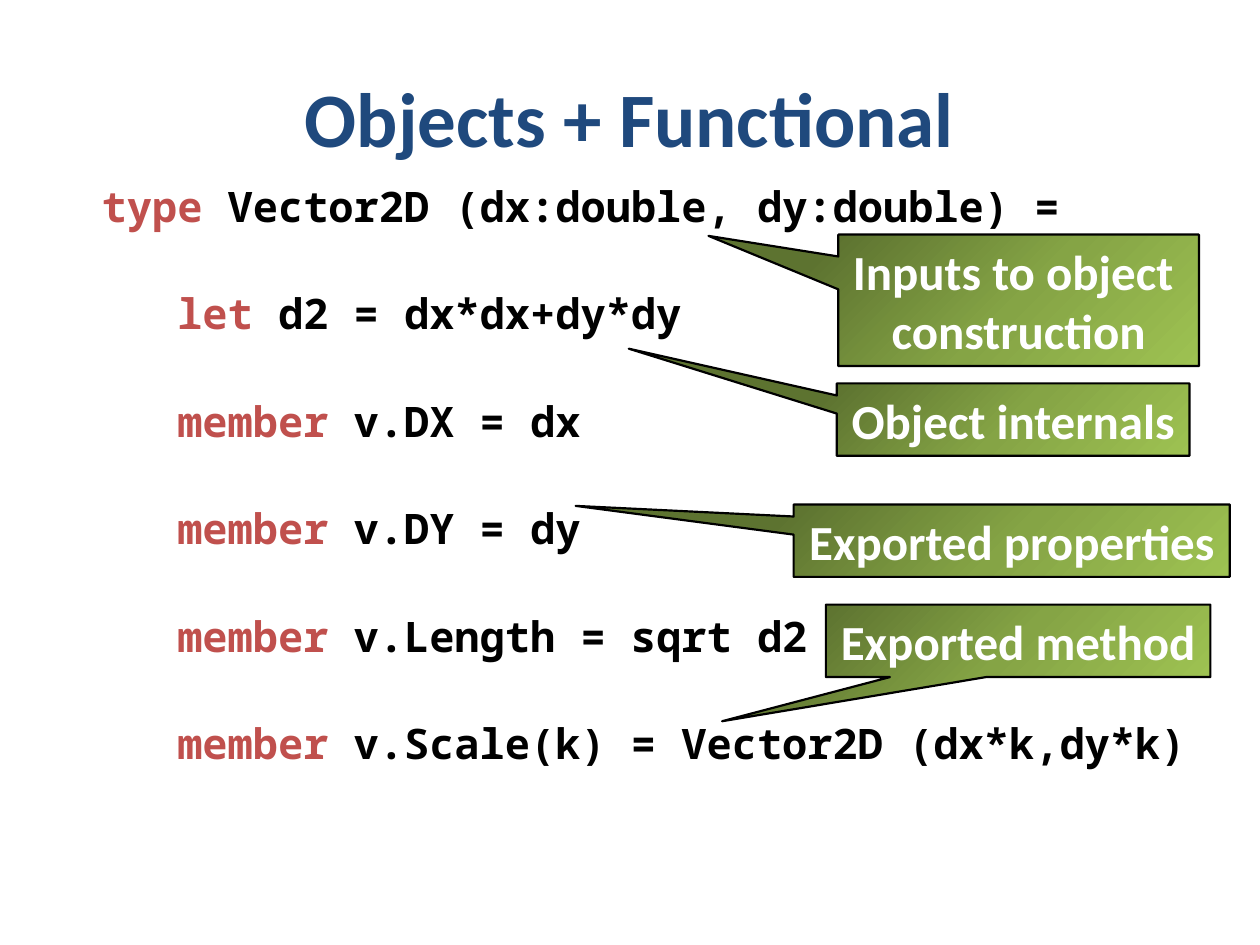
from copy import deepcopy

from pptx import Presentation
from pptx.dml.color import RGBColor
from pptx.enum.shapes import MSO_SHAPE
from pptx.enum.text import MSO_ANCHOR, MSO_AUTO_SIZE, PP_ALIGN
from pptx.oxml.ns import qn
from pptx.util import Cm, Pt

CALLOUT = MSO_SHAPE.RECTANGULAR_CALLOUT
CENTER = PP_ALIGN.CENTER
MIDDLE = MSO_ANCHOR.MIDDLE
GROW = MSO_AUTO_SIZE.SHAPE_TO_FIT_TEXT
TITLE_ONLY = 5

HEAD_FONT, CODE_FONT = "Calibri", "Noto Sans Mono"
NAVY, KEYWORD, BLACK, WHITE = "1F497D", "C0504D", "000000", "FFFFFF"
GREENS = [(0, "5D7330"), (0.5, "85A445"), (1, "9EC252")]

# Each code line: indent, keyword, rest
CODE = [
    ("", "type", " Vector2D (dx:double, dy:double) ="),
    ("   ", "let", " d2 = dx*dx+dy*dy"),
    ("   ", "member", " v.DX = dx"),
    ("   ", "member", " v.DY = dy"),
    ("   ", "member", " v.Length = sqrt d2"),
    ("   ", "member", " v.Scale(k) = Vector2D (dx*k,dy*k)"),
]

# Each callout: text, box (left, top, width, height) in cm, pointer tip
CALLOUTS = [
    ("Inputs to object \nconstruction", (16.9, 4.73, 7.27, 2.65), (-0.86, -0.49)),
    ("Exported properties", (16, 10.17, 8.79, 1.46), (-1, -0.48)),
    ("Exported method", (16.65, 12.19, 7.75, 1.46), (-0.77, 1.11)),
    ("Object internals", (16.87, 7.73, 7.11, 1.46), (-1.09, -0.98)),
]


def rgb(color):
    return RGBColor.from_string(color)


def style(r, font, size, color):
    r.font.name = font
    r.font.size = Pt(size)
    r.font.bold = True
    r.font.color.rgb = rgb(color)


def set_title(slide, text):
    s = slide.shapes.title
    s.left, s.top, s.width, s.height = Cm(1.27), Cm(0.76), Cm(22.86), Cm(3.18)
    tf = s.text_frame
    tf.text = text
    tf.vertical_anchor = MIDDLE
    p = tf.paragraphs[0]
    p.alignment = CENTER
    style(p.runs[0], HEAD_FONT, 44, NAVY)


def add_code(slide, lines):
    s = slide.shapes.add_textbox(Cm(1.8), Cm(3.63), Cm(22.45), Cm(12.5))
    tf = s.text_frame
    tf.word_wrap = True
    for i, (indent, keyword, rest) in enumerate(lines):
        p = tf.add_paragraph() if i else tf.paragraphs[0]
        p.line_spacing = 0.9
        p.space_before = Pt(35.5 if i else 0)
        for text, color in ((indent + keyword, KEYWORD), (rest, BLACK)):
            r = p.add_run()
            r.text = text
            style(r, CODE_FONT, 24, color)


def fill_gradient(s, stops):
    s.fill.gradient()
    s.fill.gradient_angle = 315
    # A new gradient has two stops; add one for the middle colour
    stop_list = s._element.spPr.find(qn("a:gradFill")).find(qn("a:gsLst"))
    stop_list.append(deepcopy(stop_list[-1]))
    for stop, (position, color) in zip(s.fill.gradient_stops, stops):
        stop.position = position
        stop.color.rgb = rgb(color)


def add_callout(slide, text, box, tip):
    s = slide.shapes.add_shape(CALLOUT, *(Cm(v) for v in box))
    s.shadow.inherit = False
    s.adjustments[0], s.adjustments[1] = tip
    fill_gradient(s, GREENS)
    s.line.color.rgb = rgb(BLACK)
    s.line.width = Pt(1.25)
    tf = s.text_frame
    tf.text = text
    tf.word_wrap = False
    tf.auto_size = GROW
    tf.vertical_anchor = MIDDLE
    for p in tf.paragraphs:
        p.alignment = CENTER
        style(p.runs[0], HEAD_FONT, 28, WHITE)


def main():
    prs = Presentation()
    prs.slide_width, prs.slide_height = Cm(25.4), Cm(19.05)
    slide = prs.slides.add_slide(prs.slide_layouts[TITLE_ONLY])
    set_title(slide, "Objects + Functional")
    add_code(slide, CODE)
    for text, box, tip in CALLOUTS:
        add_callout(slide, text, box, tip)
    prs.save("out.pptx")


if __name__ == "__main__":
    main()
